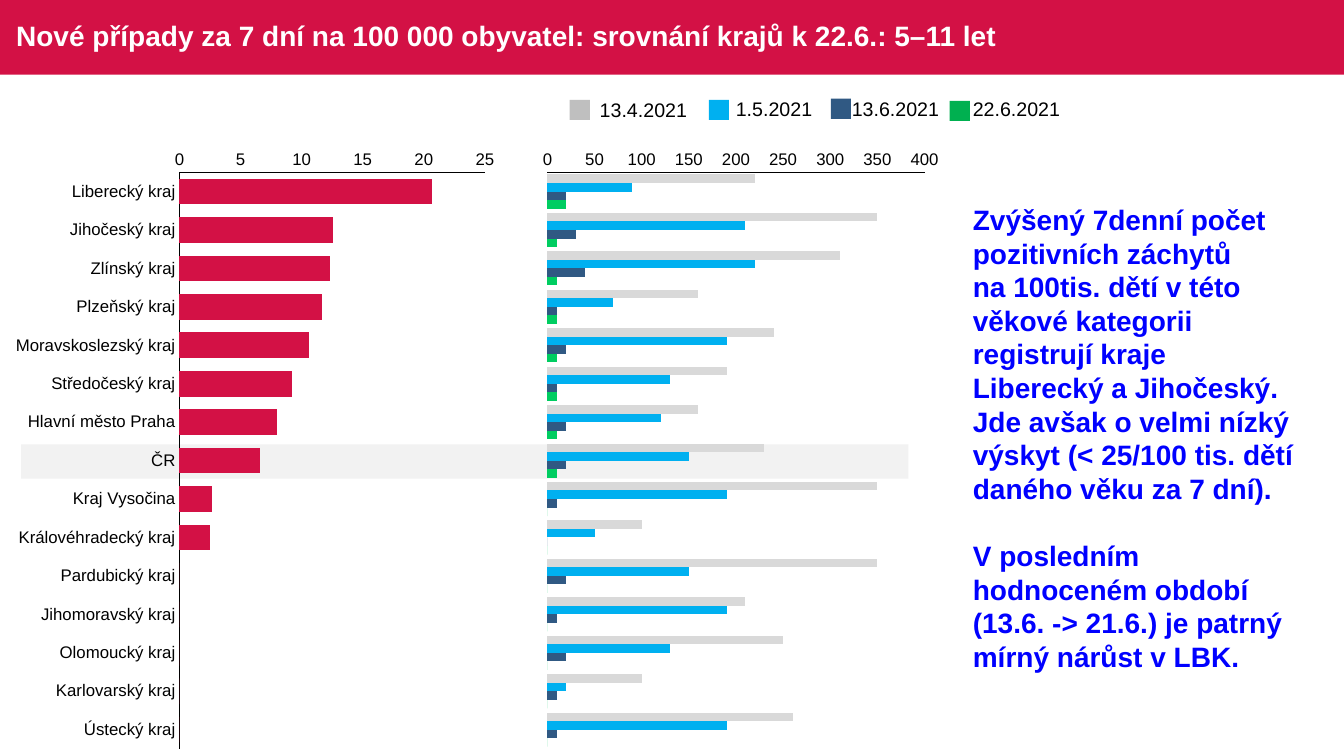
from dataclasses import dataclass

from lxml.etree import SubElement
from pptx import Presentation
from pptx.chart.chart import Chart
from pptx.chart.data import CategoryChartData as ChartData
from pptx.dml.color import RGBColor as RGB
from pptx.enum.chart import XL_CHART_TYPE as Kind, XL_TICK_MARK as Tick
from pptx.enum.shapes import MSO_SHAPE as Form
from pptx.enum.text import MSO_ANCHOR as Anchor, PP_ALIGN as Align
from pptx.oxml import parse_xml
from pptx.oxml.ns import nsdecls, qn
from pptx.shapes.autoshape import Shape
from pptx.slide import Slide
from pptx.text.text import _Paragraph as Para
from pptx.util import Inches, Pt

Box = tuple[float, float, float, float]


@dataclass(frozen=True)
class Theme:
    font: str = "Arial"
    head: int = 20
    key: int = 14
    axis: int = 12
    red: str = "D31145"
    white: str = "FFFFFF"
    black: str = "000000"
    blue: str = "0000FF"
    band: str = "F2F2F2"


@dataclass(frozen=True)
class Key:
    label: str
    color: str
    mark: tuple[float, float]
    text: Box


@dataclass(frozen=True)
class Series:
    name: str
    color: str
    vals: list[float]


@dataclass(frozen=True)
class Plot:
    box: Box
    inner: Box
    top: int
    step: int
    labels: bool
    series: list[Series]


THEME = Theme()
REGIONS = [
    "Liberecký kraj", "Jihočeský kraj", "Zlínský kraj", "Plzeňský kraj",
    "Moravskoslezský kraj", "Středočeský kraj", "Hlavní město Praha", "ČR",
    "Kraj Vysočina", "Královéhradecký kraj", "Pardubický kraj",
    "Jihomoravský kraj", "Olomoucký kraj", "Karlovarský kraj", "Ústecký kraj",
]
TREND = Plot((5.3, 1.37, 4.09, 6.19), (5.43, 1.71, 3.74, 5.72), 400, 50, False, [
    Series("13.4.2021", "D9D9D9", [220, 350, 310, 160, 240, 190, 160, 230, 350,
                                   100, 350, 210, 250, 100, 260]),
    Series("1.5.2021", "00B0F0", [90, 210, 220, 70, 190, 130, 120, 150, 190,
                                  50, 150, 190, 130, 20, 190]),
    Series("13.6.2021", "305983", [20, 30, 40, 10, 20, 10, 20, 20, 10,
                                   0, 20, 10, 20, 10, 10]),
    Series("22.6.2021", "00CD61", [20, 10, 10, 10, 10, 10, 10, 10] + [0] * 7),
])
LATEST = Plot((0.06, 1.37, 4.94, 6.19), (1.78, 1.71, 3.03, 5.72), 25, 5, True, [
    Series("22.6.2021", THEME.red, [20.7, 12.6, 12.3, 11.7, 10.6, 9.2, 8, 6.6,
                                    2.7, 2.5] + [0] * 5),
])
KEYS = [
    Key("13.4.2021", "BFBFBF", (5.65, 0.99), (5.85, 0.92, 1.07, 0.34)),
    Key("1.5.2021", "00B0F0", (7.03, 0.99), (7.2, 0.91, 0.96, 0.34)),
    Key("13.6.2021", "305983", (8.24, 0.98), (8.35, 0.91, 1.07, 0.34)),
    Key("22.6.2021", "00B050", (9.42, 1), (9.55, 0.91, 1.07, 0.34)),
]
TITLE = "Nové případy za 7 dní na 100 000 obyvatel: srovnání krajů k 22.6.: 5–11 let"
NOTES = [
    ["Zvýšený 7denní počet pozitivních záchytů ",
     "na 100tis. dětí v této věkové kategorii registrují kraje"],
    ["Liberecký a Jihočeský. Jde avšak o velmi nízký výskyt "
     "(< 25/100 tis. dětí daného věku za 7 dní)."],
    ["V posledním hodnoceném období (13.6. -> 21.6.) je patrný mírný nárůst v LBK."],
]


def inch(box: Box) -> list[Inches]:
    return [Inches(v) for v in box]


def write(para: Para, text: str, size: int, color: str, bold: bool = False) -> None:
    run = para.add_run()
    run.text = text
    font = run.font
    font.name, font.size, font.bold = THEME.font, Pt(size), bold
    font.color.rgb = RGB.from_string(color)


def block(slide: Slide, box: Box, color: str) -> Shape:
    shape = slide.shapes.add_shape(Form.RECTANGLE, *inch(box))
    shape.shadow.inherit = False
    shape.fill.solid()
    shape.fill.fore_color.rgb = RGB.from_string(color)
    shape.line.fill.background()
    return shape


def head(slide: Slide) -> None:
    title = slide.shapes.title
    title.left, title.top, title.width, title.height = inch((0.06, 0, 12.01, 0.74))
    title.text_frame.vertical_anchor = Anchor.MIDDLE
    para = title.text_frame.paragraphs[0]
    para.alignment, para.line_spacing = Align.LEFT, 0.9
    write(para, TITLE, THEME.head, THEME.white, True)
    for box, color in [((0, 0, 13.33, 0.74), THEME.red),
                       ((0.21, 4.41, 8.8, 0.34), THEME.band)]:
        title.element.addprevious(block(slide, box, color).element)


def frame(chart: Chart, plot: Plot) -> None:
    """Clear the chart's background and fix its inner plot area."""
    bare = (f'<c:spPr {nsdecls("c", "a")}><a:noFill/>'
            '<a:ln><a:noFill/></a:ln></c:spPr>')
    chart.font._element.getroottree().find(".//" + qn("c:chart")).addnext(parse_xml(bare))
    area = chart.element.find(".//" + qn("c:plotArea")) if hasattr(chart, "element") \
        else chart._chartSpace.find(".//" + qn("c:plotArea"))
    for old in area.findall(qn("c:layout")):
        area.remove(old)
    layout = parse_xml(f'<c:layout {nsdecls("c")}/>')
    manual = SubElement(layout, qn("c:manualLayout"))
    left, top, wide, high = plot.box
    x, y, w, h = plot.inner
    parts = [("layoutTarget", "inner"), ("xMode", "edge"), ("yMode", "edge"),
             ("x", (x - left) / wide), ("y", (y - top) / high),
             ("w", w / wide), ("h", h / high)]
    for tag, val in parts:
        SubElement(manual, qn("c:" + tag)).set("val", str(val))
    area.insert(0, layout)
    area.append(parse_xml(bare))


def draw(slide: Slide, plot: Plot) -> None:
    data = ChartData()
    data.categories = REGIONS
    for item in plot.series:
        data.add_series(item.name, item.vals)
    chart = slide.shapes.add_chart(Kind.BAR_CLUSTERED, *inch(plot.box), data).chart
    chart.has_legend = chart.has_title = False
    chart.font.name, chart.font.size = THEME.font, Pt(THEME.axis)
    chart.font.color.rgb = RGB.from_string(THEME.black)
    bars = chart.plots[0]
    bars.gap_width, bars.overlap, bars.vary_by_categories = 50, 0, False
    for item, bar in zip(plot.series, bars.series):
        bar.invert_if_negative = False
        bar.format.fill.solid()
        bar.format.fill.fore_color.rgb = RGB.from_string(item.color)
    cats, vals = chart.category_axis, chart.value_axis
    cats.reverse_order, cats.visible = True, plot.labels
    vals.minimum_scale, vals.maximum_scale, vals.major_unit = 0, plot.top, plot.step
    for axis in (cats, vals):
        axis.has_major_gridlines = False
        axis.major_tick_mark = axis.minor_tick_mark = Tick.NONE
        axis.format.line.width = Pt(0.75)
        axis.format.line.color.rgb = RGB.from_string(THEME.black)
    frame(chart, plot)


def note(slide: Slide) -> None:
    text = slide.shapes.add_textbox(*inch((9.55, 1.96, 3.58, 5.82))).text_frame
    text.word_wrap = True
    for i, lines in enumerate(NOTES):
        para = text.add_paragraph() if i else text.paragraphs[0]
        for j, line in enumerate(lines):
            if j:
                para.add_line_break()
            write(para, line, THEME.head, THEME.blue, True)
    para.space_before = Pt(24)


def legend(slide: Slide) -> None:
    for key in KEYS:
        block(slide, (*key.mark, 0.2, 0.2), key.color)
        text = slide.shapes.add_textbox(*inch(key.text)).text_frame
        text.word_wrap = False
        write(text.paragraphs[0], key.label, THEME.key, THEME.black)


def main() -> None:
    deck = Presentation()
    deck.slide_width, deck.slide_height = Inches(13.33), Inches(7.5)
    slide = deck.slides.add_slide(deck.slide_layouts[5])
    head(slide)
    draw(slide, TREND)
    note(slide)
    draw(slide, LATEST)
    legend(slide)
    deck.save("out.pptx")


if __name__ == "__main__":
    main()
